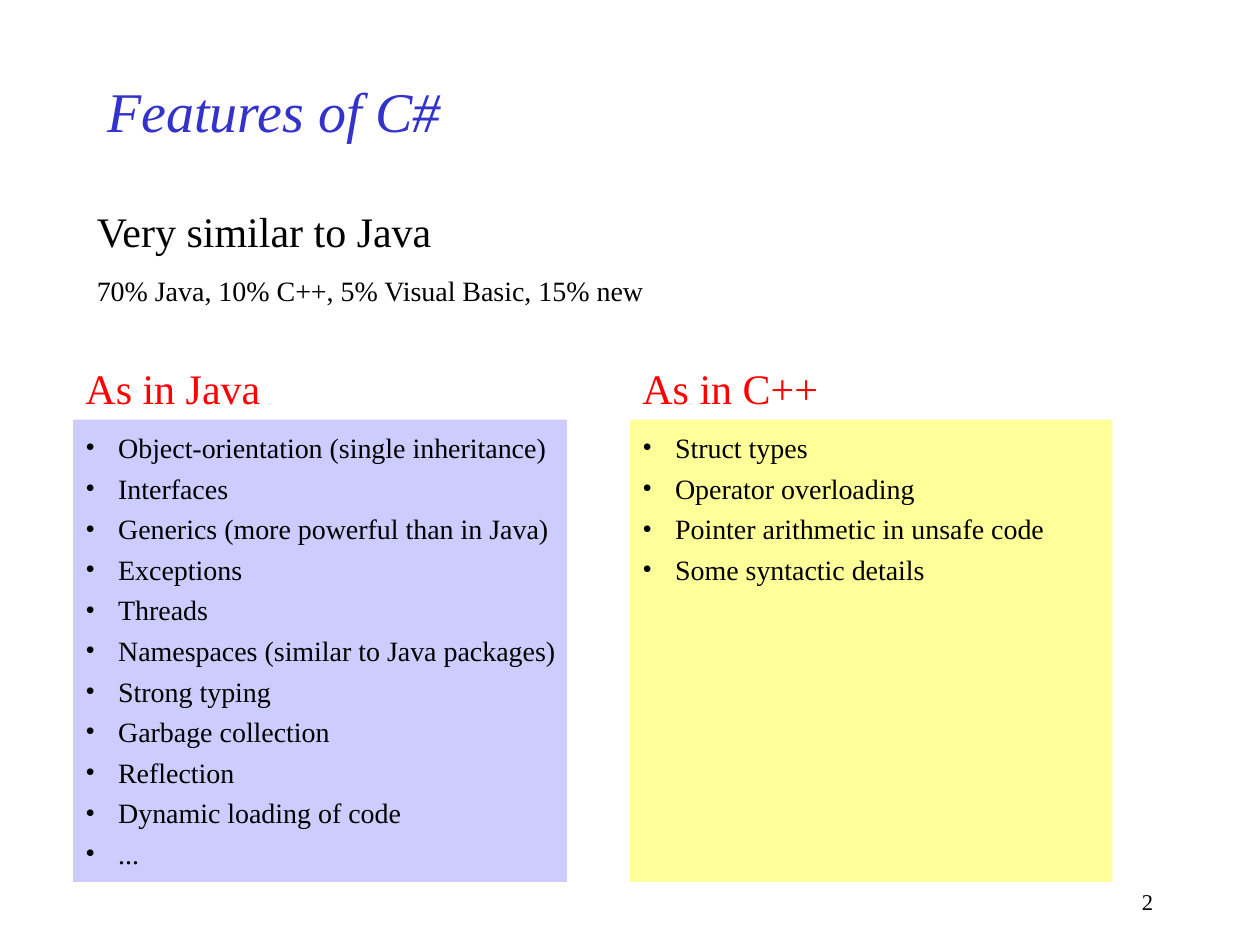
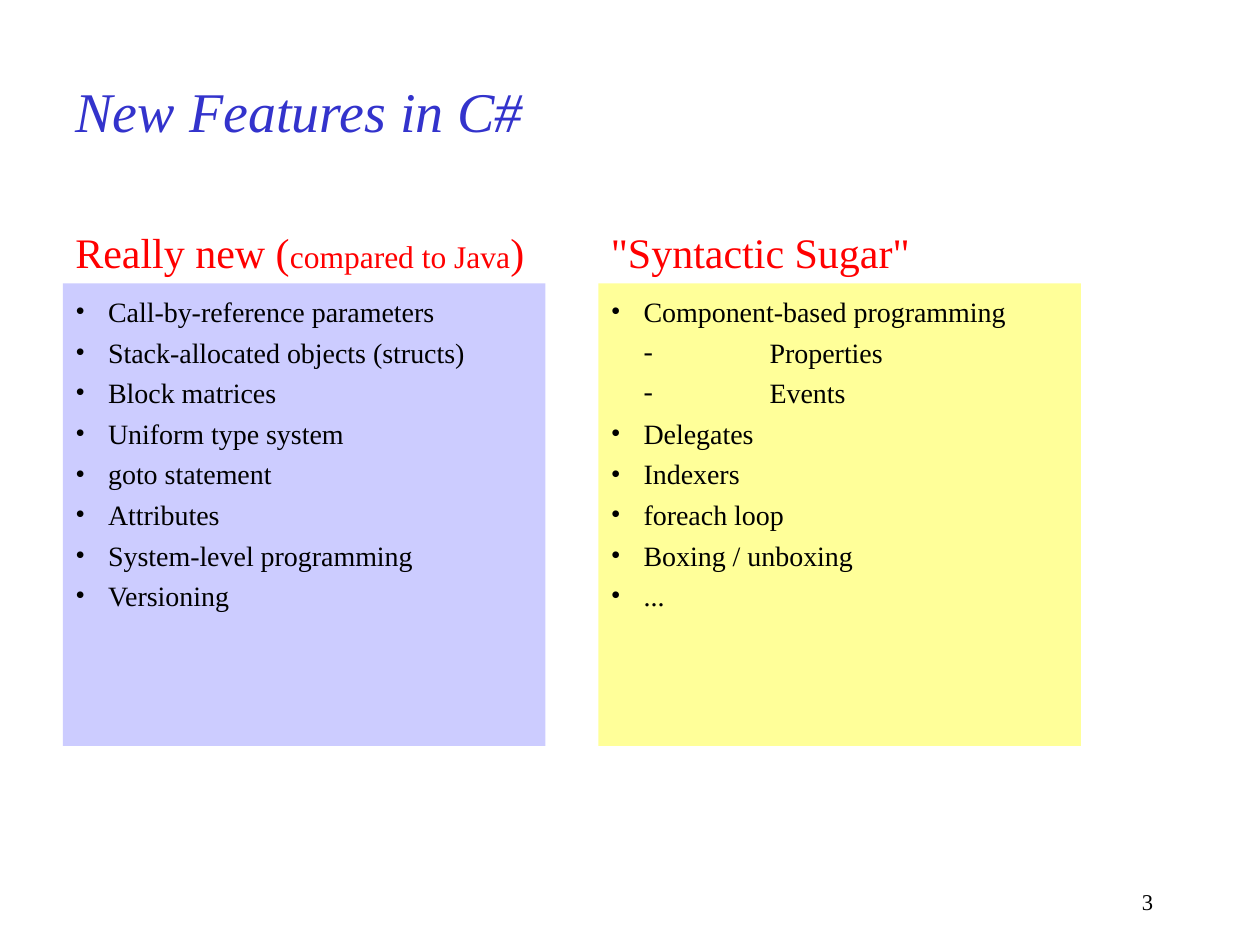
from dataclasses import dataclass

from lxml.etree import SubElement
from pptx import Presentation
from pptx.dml.color import RGBColor
from pptx.enum.shapes import MSO_SHAPE as Preset
from pptx.enum.text import MSO_ANCHOR as Anchor, MSO_AUTO_SIZE as AutoSize, PP_ALIGN as Align
from pptx.oxml.ns import qn
from pptx.util import Inches, Pt

FONT = "Times New Roman"
COLORS = {
    "title": "3333CC",
    "heading": "FF0000",
    "text": "000000",
    "lavender": "CCCCFF",
    "yellow": "FFFF99",
}
HEADING_SIZE, ITEM_SIZE = 24, 16
PANEL_HEIGHT = 3.67
PANEL_DROP = 0.5  # from the top of the heading to the top of its panel
HANGING = 0.26


@dataclass(frozen=True)
class Span:
    text: str
    size: float = ITEM_SIZE
    color: str = "text"
    italic: bool = False


@dataclass(frozen=True)
class Item:
    text: str
    mark: str = "•"
    margin: float = HANGING
    hanging: float = HANGING


@dataclass(frozen=True)
class Column:
    left: float
    top: float
    fill: str
    heading: list[Span]
    items: list[Item]
    panel_width: float = 3.83
    text_width: float = 3.83


@dataclass(frozen=True)
class Page:
    number: int
    title: str
    title_left: float
    title_width: float
    columns: list[Column]


def bullets(*texts: str) -> list[Item]:
    return [Item(text) for text in texts]


def dash(text: str) -> Item:
    return Item(text, "-", HANGING + 1, 1)


def heading(text: str, size: float = HEADING_SIZE) -> Span:
    return Span(text, size, "heading")


def add_spans(para, spans: list[Span]) -> None:
    for span in spans:
        run = para.add_run()
        run.text = span.text
        run.font.name = FONT
        run.font.size = Pt(span.size)
        run.font.italic = span.italic
        run.font.color.rgb = RGBColor.from_string(COLORS[span.color])


def add_box(page, left: float, top: float, width: float, height: float):
    box = page.shapes.add_textbox(Inches(left), Inches(top), Inches(width), Inches(height))
    box.text_frame.word_wrap = True
    return box.text_frame


def add_mark(para, item: Item) -> None:
    properties = para._p.get_or_add_pPr()
    properties.set("marL", str(Inches(item.margin)))
    properties.set("indent", str(-Inches(item.hanging)))
    color = SubElement(properties, qn("a:buClr"))
    SubElement(color, qn("a:srgbClr"), val=COLORS["text"])
    SubElement(properties, qn("a:buFont"), typeface=FONT)
    SubElement(properties, qn("a:buChar"), char=item.mark)


def add_column(page, column: Column) -> None:
    # Coloured panel
    panel = page.shapes.add_shape(
        Preset.RECTANGLE, Inches(column.left), Inches(column.top + PANEL_DROP),
        Inches(column.panel_width), Inches(PANEL_HEIGHT))
    panel.shadow.inherit = False
    panel.fill.solid()
    panel.fill.fore_color.rgb = RGBColor.from_string(COLORS[column.fill])
    panel.line.fill.background()

    # Heading above the panel, list inside it
    height = 0.58 + 0.32 * len(column.items)
    frame = add_box(page, column.left, column.top, column.text_width, height)
    frame.auto_size = AutoSize.SHAPE_TO_FIT_TEXT
    add_spans(frame.paragraphs[0], column.heading)
    for index, item in enumerate(column.items):
        para = frame.add_paragraph()
        add_mark(para, item)
        para.space_before = Pt(4 if index else 10)
        add_spans(para, [Span(item.text)])


def add_intro(page, headline: str, detail: str) -> None:
    frame = add_box(page, 0.67, 1.58, 7, 0.91)
    add_spans(frame.paragraphs[0], [Span(headline, HEADING_SIZE)])
    para = frame.add_paragraph()
    para.space_before = Pt(10)
    add_spans(para, [Span(detail)])


def add_page(deck, content: Page):
    page = deck.slides.add_slide(deck.slide_layouts[5])

    # Title
    title = page.shapes.title
    title.left, title.top = Inches(content.title_left), Inches(0.5)
    title.width, title.height = Inches(content.title_width), Inches(0.75)
    frame = title.text_frame
    frame.vertical_anchor = Anchor.MIDDLE
    frame.auto_size = AutoSize.NONE
    frame.paragraphs[0].alignment = Align.LEFT
    add_spans(frame.paragraphs[0], [Span(content.title, 32, "title", italic=True)])

    for column in content.columns:
        add_column(page, column)

    # Page number
    para = add_box(page, 7.17, 7, 2.08, 0.33).paragraphs[0]
    para.alignment = Align.RIGHT
    add_spans(para, [Span(str(content.number), 12.9)])
    return page


FEATURES = Page(2, "Features of C#", 0.75, 7.5, [
    Column(0.58, 2.83, "lavender", [heading("As in Java")], bullets(
        "Object-orientation (single inheritance)",
        "Interfaces",
        "Generics (more powerful than in Java)",
        "Exceptions",
        "Threads",
        "Namespaces (similar to Java packages)",
        "Strong typing",
        "Garbage collection",
        "Reflection",
        "Dynamic loading of code",
        "...",
    ), panel_width=3.92, text_width=4),
    Column(5, 2.83, "yellow", [heading("As in C++")], bullets(
        "Struct types",
        "Operator overloading",
        "Pointer arithmetic in unsafe code",
        "Some syntactic details",
    )),
])

NEW_FEATURES = Page(3, "New Features in C#", 0.5, 7.75, [
    Column(0.5, 1.75, "lavender",
           [heading("Really new ("), heading("compared to Java", 18), heading(")")],
           bullets(
               "Call-by-reference parameters",
               "Stack-allocated objects (structs)",
               "Block matrices",
               "Uniform type system",
               "goto statement",
               "Attributes",
               "System-level programming",
               "Versioning",
           )),
    Column(4.75, 1.75, "yellow", [heading('"Syntactic Sugar"')], [
        Item("Component-based programming"),
        dash("Properties"),
        dash("Events"),
        *bullets("Delegates", "Indexers", "foreach loop", "Boxing / unboxing", "..."),
    ]),
])


def main() -> None:
    deck = Presentation()
    deck.slide_width, deck.slide_height = Inches(10), Inches(7.5)
    features = add_page(deck, FEATURES)
    add_intro(features, "Very similar to Java", "70% Java, 10% C++, 5% Visual Basic, 15% new")
    add_page(deck, NEW_FEATURES)
    deck.save("out.pptx")


if __name__ == "__main__":
    main()
